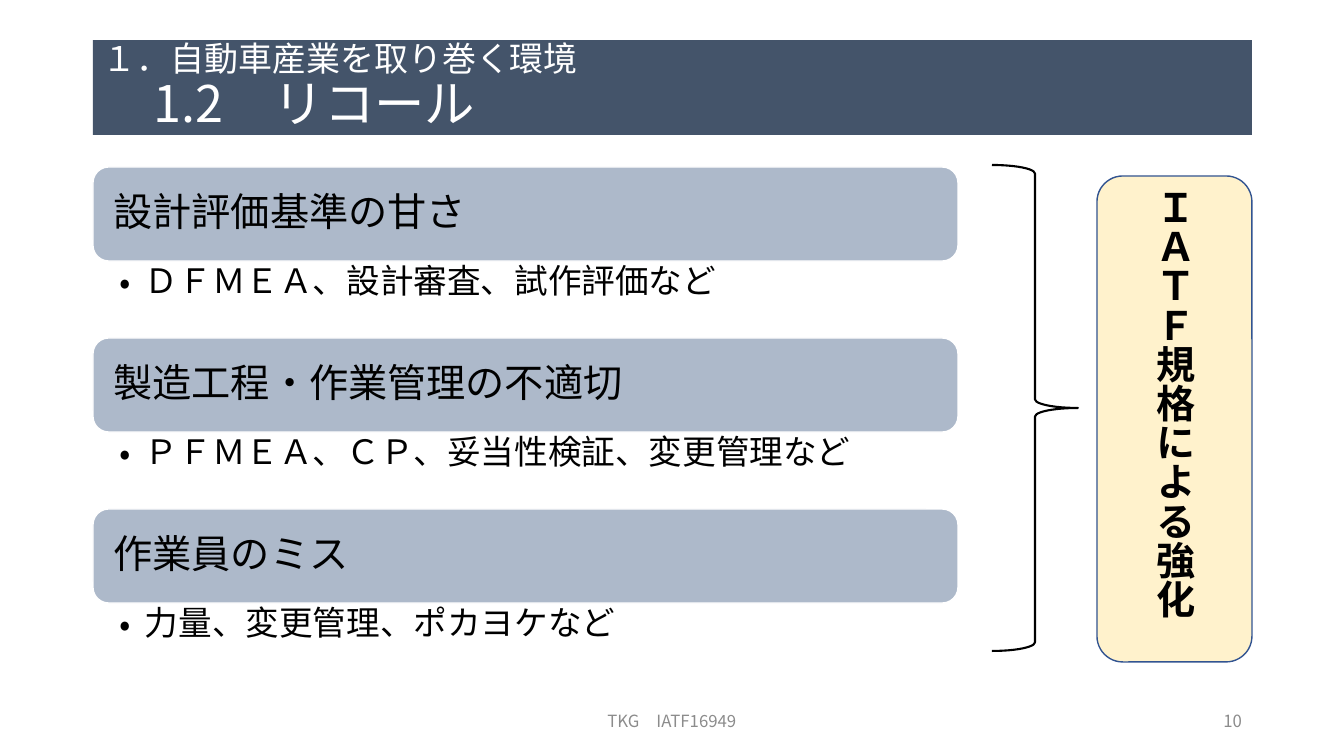
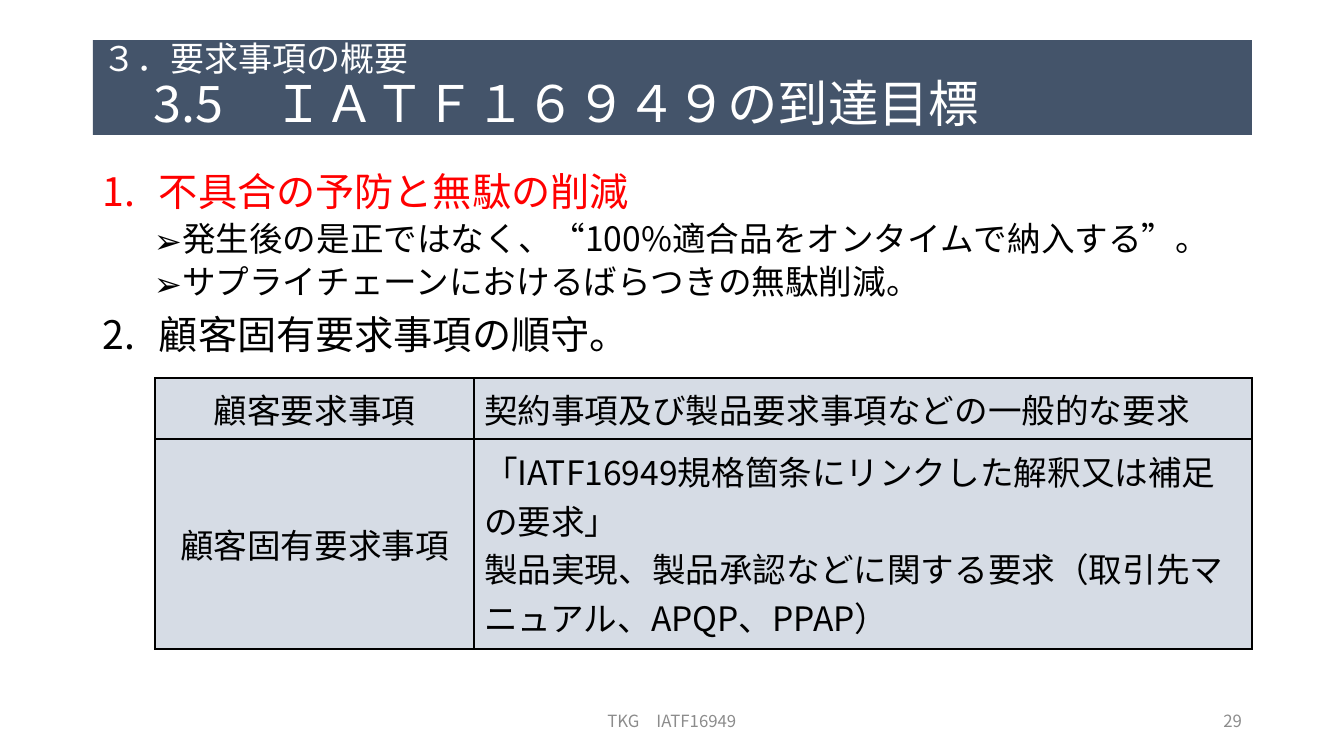
from lxml import etree
from pptx import Presentation, util as u
from pptx.dml.color import RGBColor
from pptx.enum import shapes, text
from pptx.oxml.ns import qn

PX = 12192000 / 1344
FONT = "Noto Sans CJK JP"
HEX = {"navy": "44546A", "steel": "ADB9CA", "pale": "D6DCE5", "cream": "FFF2CC",
       "edge": "325491", "white": "FFFFFF", "black": "000000", "red": "FF0000",
       "gray": "8C8C8C"}
ALIGN = text.PP_ALIGN
MID, TOP = text.MSO_ANCHOR.MIDDLE, text.MSO_ANCHOR.TOP
LEFT, WIDTH = 93, 1159


def px(*nums):
    return [u.Emu(round(n * PX)) for n in nums]


def rgb(name):
    return RGBColor.from_string(HEX[name])


class Deck:
    """Holds the shared style and the current slide."""

    def __init__(self):
        self.prs = Presentation()
        self.prs.slide_width, self.prs.slide_height = px(1344, 756)
        self.slide = None

    def style(self, para, size, color="black", align=ALIGN.LEFT, bold=False,
              line=1.0, before=0):
        para.alignment = align
        para.line_spacing = line
        para.space_before = u.Pt(before)
        para.space_after = u.Pt(0)
        for run in para.runs:
            run.font.size = u.Pt(size)
            run.font.bold = bold
            run.font.color.rgb = rgb(color)
            run.font.name = FONT
            east = etree.SubElement(run.font._element, qn("a:ea"))
            east.set("typeface", FONT)

    def frame(self, frame, anchor=MID, pad=(10, 5, 10, 5)):
        frame.word_wrap = True
        frame.auto_size = text.MSO_AUTO_SIZE.NONE
        frame.vertical_anchor = anchor
        (frame.margin_left, frame.margin_top,
         frame.margin_right, frame.margin_bottom) = px(*pad)

    def bullet(self, para, mark, left, hang):
        props = para._p.get_or_add_pPr()
        props.set("marL", str(px(left)[0]))
        props.set("indent", str(px(-hang)[0]))
        if isinstance(mark, int):
            item = etree.SubElement(props, qn("a:buAutoNum"), type="arabicPeriod")
            item.set("startAt", str(mark))
        else:
            etree.SubElement(props, qn("a:buFont"), typeface=FONT)
            etree.SubElement(props, qn("a:buChar"), char=mark)

    def page(self, part, head, num):
        self.slide = self.prs.slides.add_slide(self.prs.slide_layouts[5])
        title = self.slide.shapes.title
        title.left, title.top, title.width, title.height = px(LEFT, 40, WIDTH, 95)
        title.fill.solid()
        title.fill.fore_color.rgb = rgb("navy")
        self.frame(title.text_frame)
        title.text_frame.text = f"{part}\n{head}"
        for para, size in zip(title.text_frame.paragraphs, (24.3, 36)):
            self.style(para, size, "white", line=0.9)
        self.label("TKG　IATF16949", 445, 454, ALIGN.CENTER)
        self.label(str(num), 950, 302, ALIGN.RIGHT)

    def box(self, x, y, w, h, anchor=MID, pad=(10, 5, 10, 5)):
        frame = self.slide.shapes.add_textbox(*px(x, y, w, h)).text_frame
        self.frame(frame, anchor, pad)
        return frame

    def label(self, words, x, w, align):
        frame = self.box(x, 701, w, 40)
        frame.text = words
        self.style(frame.paragraphs[0], 12, "gray", align)

    def shape(self, kind, x, y, w, h, fill, edge, thick=1):
        item = self.slide.shapes.add_shape(kind, *px(x, y, w, h))
        item.shadow.inherit = False
        if fill:
            item.fill.solid()
            item.fill.fore_color.rgb = rgb(fill)
        else:
            item.fill.background()
        item.line.color.rgb = rgb(edge)
        item.line.width = u.Pt(thick)
        return item

    def panel(self, words, x, y, w, h, fill, edge, pad=(10, 5, 10, 5), **look):
        item = self.shape(shapes.MSO_SHAPE.ROUNDED_RECTANGLE, x, y, w, h, fill, edge)
        self.frame(item.text_frame, pad=pad)
        item.text_frame.text = words
        self.style(item.text_frame.paragraphs[0], 28, **look)
        return item

    def cause(self, head, note, y):
        self.panel(head, LEFT, y, 865, 94, "steel", "white", (16, 12, 16, 12), line=0.9)
        frame = self.box(LEFT, y + 94, 865, 77, TOP, (27, 3, 19, 3))
        frame.text = note
        para = frame.paragraphs[0]
        self.bullet(para, "•", 25, 25)
        self.style(para, 24, line=0.9)

    def brace(self, x, y, w, h):
        item = self.shape(shapes.MSO_SHAPE.RIGHT_BRACE, x, y, w, h, None, "black", 1.5)
        item.adjustments[0], item.adjustments[1] = 0.1, 0.5

    def goals(self, items, x, y, w, h):
        frame = self.box(x, y, w, h, TOP)
        frame.text = "\n".join(words for words, *_ in items)
        for spot, (para, (_, mark, color)) in enumerate(zip(frame.paragraphs, items)):
            main = isinstance(mark, int)
            para.level = 0 if main else 1
            self.bullet(para, mark, *((56, 56) if main else (76, 25)))
            gap = (10 if main else 5) if spot else 0
            self.style(para, 28 if main else 24, color, line=0.9, before=gap)

    def edges(self, cell):
        props = cell._tc.get_or_add_tcPr()
        for spot, side in enumerate(("lnL", "lnR", "lnT", "lnB")):
            line = etree.Element(qn(f"a:{side}"), w=str(u.Pt(1)))
            fill = etree.SubElement(line, qn("a:solidFill"))
            etree.SubElement(fill, qn("a:srgbClr"), val=HEX["black"])
            props.insert(spot, line)

    def table(self, rows, x, y, wide, high):
        size = px(x, y, sum(wide), sum(high))
        grid = self.slide.shapes.add_table(len(rows), len(wide), *size).table
        grid.first_row = grid.horz_banding = False
        for col, w in zip(grid.columns, px(*wide)):
            col.width = w
        for row, h, words in zip(grid.rows, px(*high), rows):
            row.height = h
            for spot, (cell, word) in enumerate(zip(row.cells, words)):
                cell.text = word
                cell.vertical_anchor = MID
                cell.fill.solid()
                cell.fill.fore_color.rgb = rgb("pale")
                self.edges(cell)
                for para in cell.text_frame.paragraphs:
                    self.style(para, 24, align=ALIGN.LEFT if spot else ALIGN.CENTER)


def main():
    deck = Deck()

    deck.page("１．自動車産業を取り巻く環境", "　1.2　リコール", 10)
    causes = [("設計評価基準の甘さ", "ＤＦＭＥＡ、設計審査、試作評価など"),
              ("製造工程・作業管理の不適切", "ＰＦＭＥＡ、ＣＰ、妥当性検証、変更管理など"),
              ("作業員のミス", "力量、変更管理、ポカヨケなど")]
    for spot, (head, note) in enumerate(causes):
        deck.cause(head, note, 167 + 171 * spot)
    deck.brace(992, 165, 86, 486)
    tall = deck.panel("ＩＡＴＦ規格による強化", 1097, 176, 155, 486, "cream", "edge",
                      align=ALIGN.CENTER, bold=True)
    tall.text_frame._txBody.bodyPr.set("vert", "eaVert")

    deck.page("３．要求事項の概要", "　3.5　ＩＡＴＦ１６９４９の到達目標", 29)
    deck.goals([("不具合の予防と無駄の削減", 1, "red"),
                ("発生後の是正ではなく、“100%適合品をオンタイムで納入する”。", "➢", "black"),
                ("サプライチェーンにおけるばらつきの無駄削減。", "➢", "black"),
                ("顧客固有要求事項の順守。", 2, "black")], LEFT, 168, WIDTH, 210)
    deck.table([("顧客要求事項", "契約事項及び製品要求事項などの一般的な要求"),
                ("顧客固有要求事項",
                 "「IATF16949規格箇条にリンクした解釈又は補足の要求」\n"
                 "製品実現、製品承認などに関する要求（取引先マニュアル、APQP、PPAP）")],
               155, 378, (319, 778), (61, 210))

    deck.prs.save("out.pptx")


if __name__ == "__main__":
    main()
